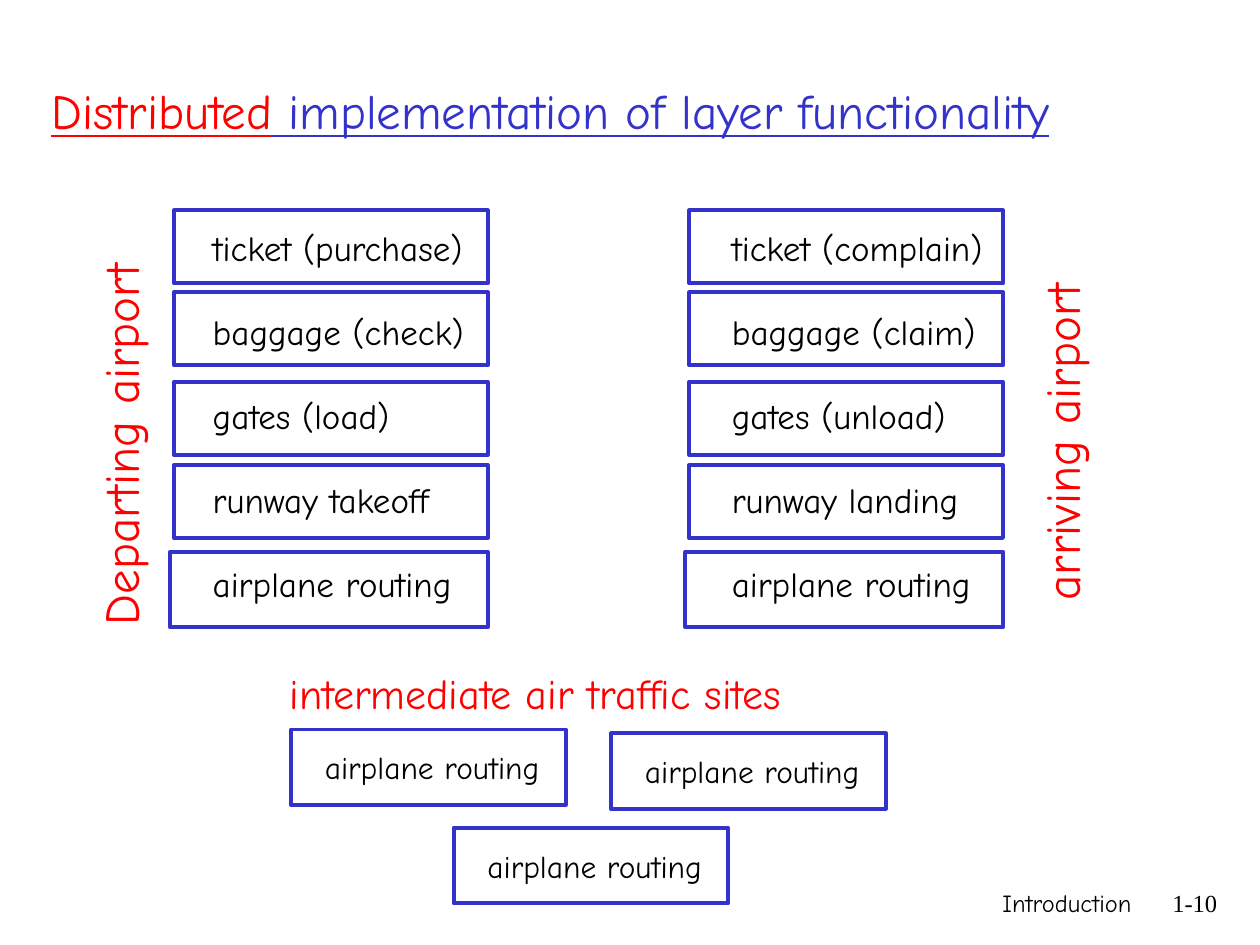
from dataclasses import dataclass

from pptx import Presentation
from pptx.dml.color import RGBColor
from pptx.enum.shapes import MSO_SHAPE
from pptx.enum.text import MSO_ANCHOR, MSO_AUTO_SIZE, PP_ALIGN
from pptx.util import Inches, Pt


@dataclass(frozen=True)
class Theme:
    font: str = "Comic Neue"
    number_font: str = "Times New Roman"
    ink: RGBColor = RGBColor(0x00, 0x00, 0x00)
    red: RGBColor = RGBColor(0xFF, 0x00, 0x00)
    blue: RGBColor = RGBColor(0x33, 0x33, 0xCC)
    title: int = 28
    heading: int = 24
    layer: int = 20
    site: int = 18
    footer: int = 14
    border: float = 2.25


THEME = Theme()


def style_run(r, size, color, font=THEME.font):
    r.font.name = font
    r.font.size = Pt(size)
    r.font.color.rgb = color


def add_text(s, box, lines, size, color, font=THEME.font, wrap=True, align=PP_ALIGN.LEFT):
    sp = s.shapes.add_textbox(*map(Inches, box))
    tf = sp.text_frame
    tf.word_wrap = wrap
    tf.auto_size = MSO_AUTO_SIZE.NONE if wrap else MSO_AUTO_SIZE.SHAPE_TO_FIT_TEXT
    tf.text = "\n".join(lines)
    for p in tf.paragraphs:
        p.alignment = align
        for r in p.runs:
            style_run(r, size, color, font)
    return sp


def add_frame(s, box):
    sp = s.shapes.add_shape(MSO_SHAPE.RECTANGLE, *map(Inches, box))
    sp.shadow.inherit = False
    sp.fill.background()
    sp.line.color.rgb = THEME.blue
    sp.line.width = Pt(THEME.border)


def add_title(s, box):
    sp = add_text(s, box, ["Distributed"], THEME.title, THEME.red)
    tf = sp.text_frame
    tf.vertical_anchor = MSO_ANCHOR.MIDDLE
    p = tf.paragraphs[0]
    r = p.add_run()
    r.text = " implementation of layer functionality"
    style_run(r, THEME.title, THEME.blue)
    for r in p.runs:
        r.font.underline = True


def add_airport(s, box, layers, text_inset):
    x, y, w, h = box
    tops = (0, 0.65, 1.36, 2.02)
    sp = add_text(s, (x + text_inset, y + 0.08, 2.2, 3.1), layers,
                  THEME.layer, THEME.ink, wrap=False)
    for i, p in enumerate(sp.text_frame.paragraphs):
        p.line_spacing = Pt(24)
        p.space_before = Pt(24 if i else 0)
    for top in tops:
        add_frame(s, (x, y + top, w, 0.58))
    add_frame(s, (x - 0.03, y + h - 0.6, w + 0.03, 0.6))


def add_side_label(s, box, text):
    sp = add_text(s, box, [text], THEME.title, THEME.red)
    sp.rotation = 270


def add_site(s, box):
    x, y, w, h = box
    add_text(s, (x + 0.17, y + 0.1, 1.9, 0.4), ["airplane routing"],
             THEME.site, THEME.ink, wrap=False)
    add_frame(s, box)


def add_sites(s, box):
    x, y, w, h = box
    add_text(s, (x, y, w, 0.5), ["intermediate air traffic sites"], THEME.heading, THEME.red)
    for dx, dy in ((0.11, 0.54), (2.65, 0.57), (1.4, 1.32)):
        add_site(s, (x + dx, y + dy, 2.18, 0.6))


def add_footer(s, box):
    x, y, w, h = box
    number_w = 0.68
    add_text(s, (x, y, w - number_w, h), ["Introduction"],
             THEME.footer, THEME.ink, align=PP_ALIGN.RIGHT)
    add_text(s, (x + w - number_w, y, number_w, h), ["1-10"],
             THEME.footer, THEME.ink, THEME.number_font, align=PP_ALIGN.RIGHT)


def main():
    prs = Presentation()
    prs.slide_width, prs.slide_height = Inches(10), Inches(7.5)
    s = prs.slides.add_slide(prs.slide_layouts[6])
    add_footer(s, (5.92, 7, 3.84, 0.5))
    add_title(s, (0.31, 0.25, 9.39, 1.25))
    add_airport(s, (1.38, 1.67, 2.49, 3.31),
                ["ticket (purchase)", "baggage (check)", "gates (load)",
                 "runway takeoff", "airplane routing"], 0.21)
    add_airport(s, (5.47, 1.67, 2.49, 3.31),
                ["ticket (complain)", "baggage (claim)", "gates (unload)",
                 "runway landing", "airplane routing"], 0.24)
    add_side_label(s, (-0.74, 3.08, 3.39, 0.57), "Departing airport")
    add_side_label(s, (6.87, 3.03, 3.1, 0.57), "arriving airport")
    add_sites(s, (2.2, 5.25, 5.73, 1.92))
    prs.save("out.pptx")


if __name__ == "__main__":
    main()
